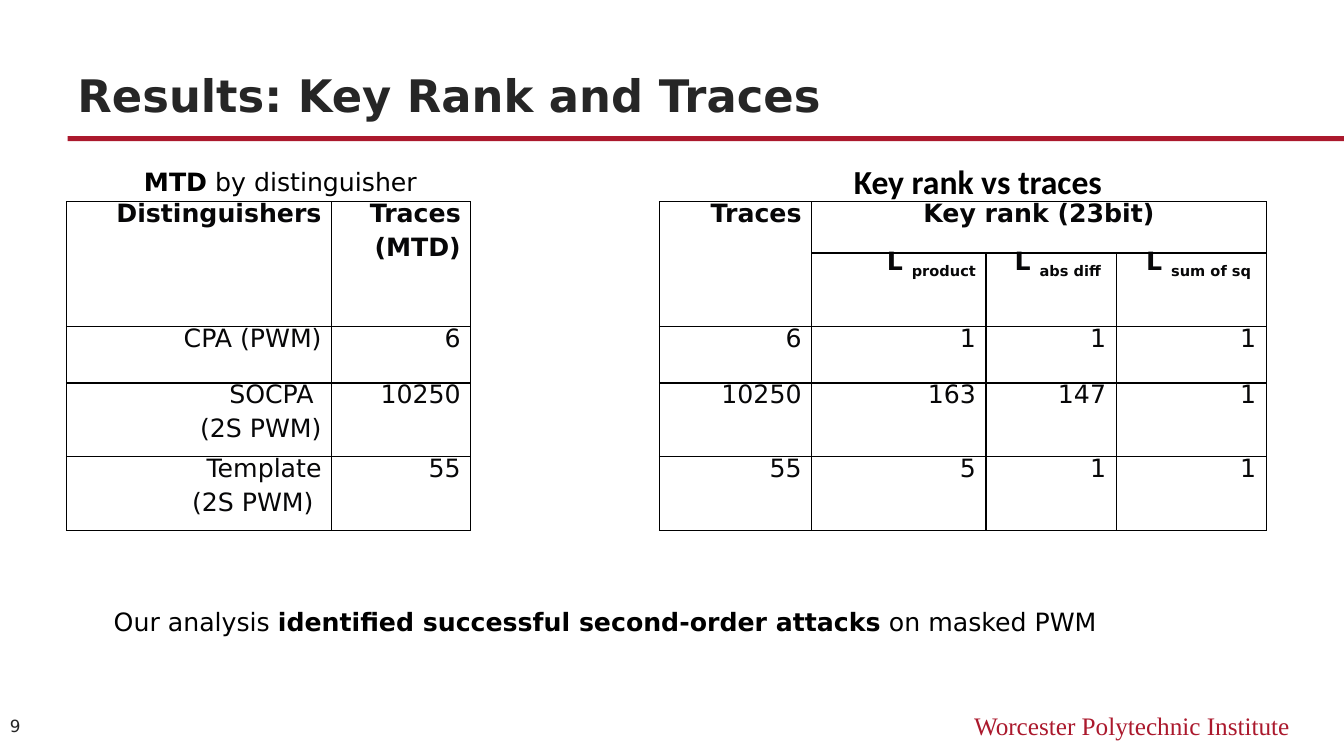
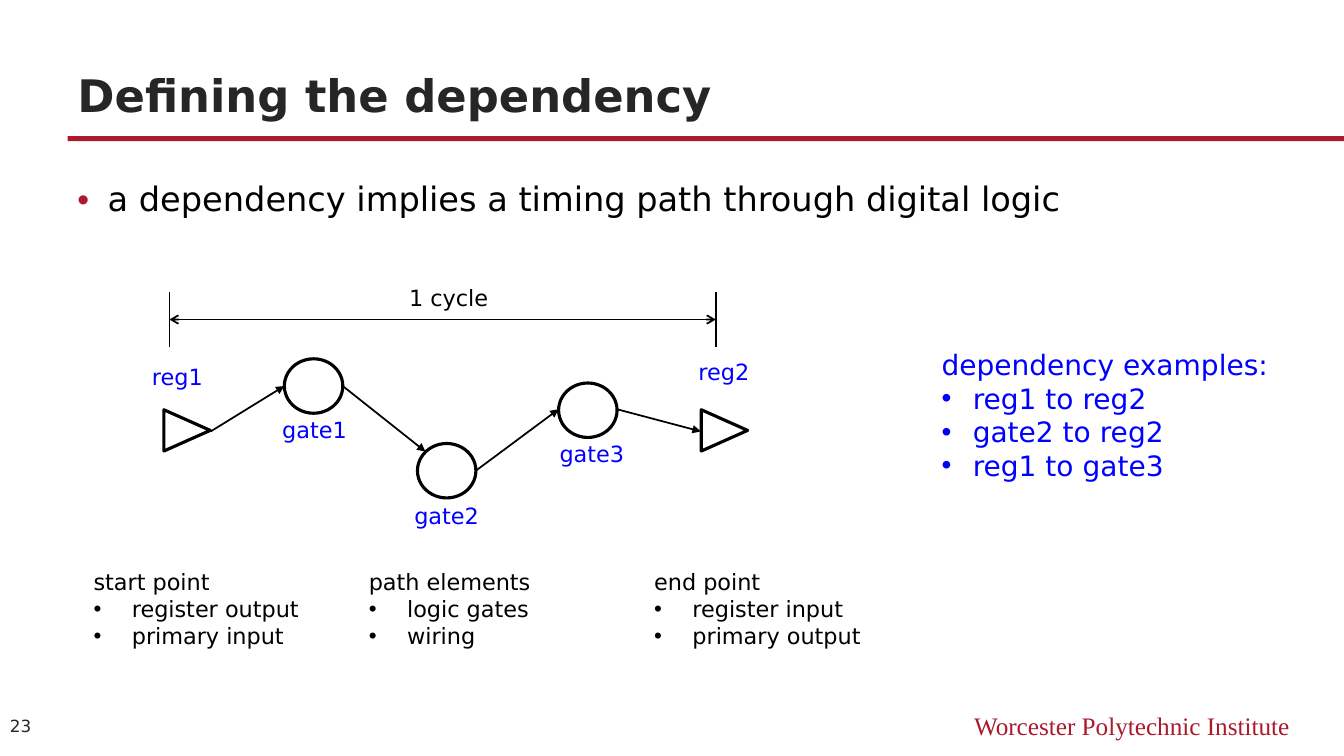
import pptx
import pptx.util
import pptx.dml.color
import pptx.enum.text
import pptx.enum.shapes
import pptx.oxml
import pptx.oxml.ns

PX = 9144
SANS = "DejaVu Sans"
RED, DARK, INK, BLACK, BLUE = "AB192D", "262626", "070708", "000000", "0000FF"
ALIGN = pptx.enum.text.PP_ALIGN
ANCHOR = pptx.enum.text.MSO_ANCHOR
SHAPE = pptx.enum.shapes.MSO_SHAPE
Pt = pptx.util.Pt

PAGES = [("Results: Key Rank and Traces", "9"), ("Defining the dependency", "23")]
SCHOOL = "Worcester Polytechnic Institute"

NOTES = [
    ((133, 160, 293, 40), [("MTD", "b"), " by distinguisher"], 18, SANS),
    ((837, 155, 269, 50), [("Key rank vs traces", "b")], 24, "Calibri"),
    ((103, 597, 1004, 40), ["Our analysis ", ("identified successful second‑order attacks", "b"),
                            " on masked PWM"], 18, SANS),
]
MTD = {
    "at": (66, 200), "cols": [263, 138], "rows": [124, 56, 73, 73], "head": 1, "merge": [],
    "cells": [
        ["Distinguishers", ["Traces", "(MTD)"]],
        ["CPA (PWM)", "6"],
        [["SOCPA ", "(2S PWM)"], "10250"],
        [["Template", "(2S PWM) "], "55"],
    ],
}
RANK = {
    "at": (654, 200), "cols": [151, 173, 129, 149], "rows": [51, 73, 56, 73, 73], "head": 2,
    "merge": [(0, 0, 1, 0), (0, 1, 0, 3)],
    "cells": [
        ["Traces", "Key rank (23bit)", None, None],
        [None] + [[["L ", (name, "s")]] for name in ("product", "abs diff ", "sum of sq ")],
        ["6", "1", "1", "1"],
        ["10250", "163", "147", "1"],
        ["55", "5", "1", "1"],
    ],
}

CLAIM = "a dependency implies a timing path through digital logic"
LISTS = [
    ((83, 559, 260, 100), "start point", ["register output", "primary input"], 16, BLACK, 38),
    ((356, 559, 260, 100), "path elements", ["logic gates", "wiring"], 16, BLACK, 38),
    ((639, 559, 260, 100), "end point", ["register input", "primary output"], 16, BLACK, 38),
    ((924, 340, 380, 144), "dependency examples:",
     ["reg1 to reg2", "gate2 to reg2", "reg1 to gate3"], 20, BLUE, 31),
]
LABELS = [("reg1", 126, 355), ("reg2", 668, 350), ("gate1", 262, 408),
          ("gate2", 393, 493), ("gate3", 537, 432)]
REGS = [(165, 404), (698, 404)]
GATES = [(282, 356), (414, 440), (554, 380)]
WIRES = [(209, 428, 282, 383), (340, 383, 422, 448), (472, 467, 554, 406), (612, 406, 695, 428)]
START, END = 168, 710


def emu(*vals):
    return [pptx.util.Emu(val * PX) for val in vals]


def rgb(code):
    return pptx.dml.color.RGBColor.from_string(code)


def node(host, tag, **attrs):
    part = host.makeelement(pptx.oxml.ns.qn(tag), attrs)
    host.append(part)
    return part


def fill_para(para, runs, size, hue, bold=False, face=SANS, align=ALIGN.LEFT):
    para.alignment = align
    font = para.font
    font.size, font.name, font.bold = Pt(size), face, bold
    font.color.rgb = rgb(hue)
    for item in [runs] if isinstance(runs, str) else runs:
        words, style = (item, "") if isinstance(item, str) else item
        run = para.add_run()
        run.text = words
        if style == "b":
            run.font.bold = True
        if style == "s":
            run._r.get_or_add_rPr().set("baseline", "-25000")


def bullet(para, gap, hue=None):
    prop = para._p.get_or_add_pPr()
    prop.set("marL", str(gap * PX))
    prop.set("indent", str(-gap * PX))
    if hue:
        node(node(prop, "a:buClr"), "a:srgbClr", val=hue)
    node(prop, "a:buFont", typeface="Arial")
    node(prop, "a:buChar", char="•")


def box(slide, at, wrap=False, anchor=ANCHOR.TOP):
    frame = slide.shapes.add_textbox(*emu(*at)).text_frame
    frame.word_wrap = wrap
    frame.vertical_anchor = anchor
    return frame


def text(slide, at, runs, size, hue, wrap=False, anchor=ANCHOR.TOP, **look):
    fill_para(box(slide, at, wrap, anchor).paragraphs[0], runs, size, hue, **look)


def shape(slide, kind, at, fill=None, turn=0):
    item = slide.shapes.add_shape(kind, *emu(*at))
    item.shadow.inherit = False
    item.rotation = turn
    if fill:
        item.fill.solid()
        item.fill.fore_color.rgb = rgb(fill)
        item.line.fill.background()
    else:
        item.fill.background()
        item.line.color.rgb = rgb(BLACK)
        item.line.width = Pt(2.25)


def line(slide, ends, head=None, tail=None):
    item = slide.shapes.add_connector(pptx.enum.shapes.MSO_CONNECTOR.STRAIGHT, *emu(*ends))
    item.line.color.rgb = rgb(BLACK)
    item.line.width = Pt(1.25)
    edge = item.line._get_or_add_ln()
    for tag, kind in (("a:headEnd", head), ("a:tailEnd", tail)):
        if kind:
            node(edge, tag, type=kind)
    node(item._element.spPr, "a:effectLst")


def border(cell):
    prop = cell._tc.get_or_add_tcPr()
    for side in "LRTB":
        edge = node(prop, "a:ln" + side, w=str(Pt(1)))
        node(node(edge, "a:solidFill"), "a:srgbClr", val=BLACK)


def grid(slide, data):
    cols, rows = data["cols"], data["rows"]
    size = emu(*data["at"], sum(cols), sum(rows))
    table = slide.shapes.add_table(len(rows), len(cols), *size).table
    table.first_row = table.horz_banding = False
    for col, wide in zip(table.columns, emu(*cols)):
        col.width = wide
    for row, high in zip(table.rows, emu(*rows)):
        row.height = high
    for top, left, low, right in data["merge"]:
        table.cell(top, left).merge(table.cell(low, right))
    for r, row in enumerate(data["cells"]):
        for c, value in enumerate(row):
            cell = table.cell(r, c)
            border(cell)
            cell.fill.background()
            cell.margin_left = cell.margin_right = cell.margin_top = cell.margin_bottom = emu(10)[0]
            if value is None:
                continue
            align = ALIGN.CENTER if cell.is_merge_origin and cell.span_width > 1 else ALIGN.RIGHT
            frame = cell.text_frame
            for n, runs in enumerate([value] if isinstance(value, str) else value):
                para = frame.add_paragraph() if n else frame.paragraphs[0]
                para.line_spacing = Pt(12)
                if n:
                    para.space_before = Pt(12)
                fill_para(para, runs, 18, INK, bold=r < data["head"], align=align)


def page(deck, title, num):
    slide = deck.slides.add_slide(deck.slide_layouts[6])
    shape(slide, SHAPE.RECTANGLE, (67, 135, 1266, 5), RED)
    text(slide, (800, 700, 489, 40), SCHOOL, 18, RED, wrap=True,
         face="Times New Roman", align=ALIGN.RIGHT)
    text(slide, (67, 37, 1200, 88), title, 32, DARK, wrap=True, anchor=ANCHOR.BOTTOM, bold=True)
    text(slide, (0, 699, 67, 43), num, 12, DARK, wrap=True, anchor=ANCHOR.MIDDLE)
    return slide


def results(slide):
    grid(slide, MTD)
    grid(slide, RANK)
    for at, runs, size, face in NOTES:
        text(slide, at, runs, size, BLACK, face=face)


def timing(slide):
    para = box(slide, (67, 175, 1200, 63), True).paragraphs[0]
    para.line_spacing = 0.95
    bullet(para, 30, RED)
    fill_para(para, CLAIM, 24, BLACK)

    for x in (START, END):
        line(slide, (x, 290, x, 344))
    line(slide, (START, 317, END, 317), "arrow", "arrow")
    text(slide, (396, 277, 100, 55), "1 cycle", 16, BLACK)

    for x, y in REGS:
        shape(slide, SHAPE.ISOSCELES_TRIANGLE, (x, y, 41, 46), turn=90)
    for x, y in GATES:
        shape(slide, SHAPE.OVAL, (x, y, 58, 54))
    for ends in WIRES:
        line(slide, ends, tail="triangle")
    for name, x, y in LABELS:
        text(slide, (x, y, 100, 39), name, 16, BLUE, align=ALIGN.CENTER)

    for at, head, items, size, hue, gap in LISTS:
        frame = box(slide, at, True)
        fill_para(frame.paragraphs[0], head, size, hue)
        for item in items:
            para = frame.add_paragraph()
            bullet(para, gap)
            fill_para(para, item, size, hue)


def main():
    deck = pptx.Presentation()
    deck.slide_width, deck.slide_height = emu(1333, 750)
    for (title, num), draw in zip(PAGES, (results, timing)):
        draw(page(deck, title, num))
    deck.save("out.pptx")


if __name__ == "__main__":
    main()
